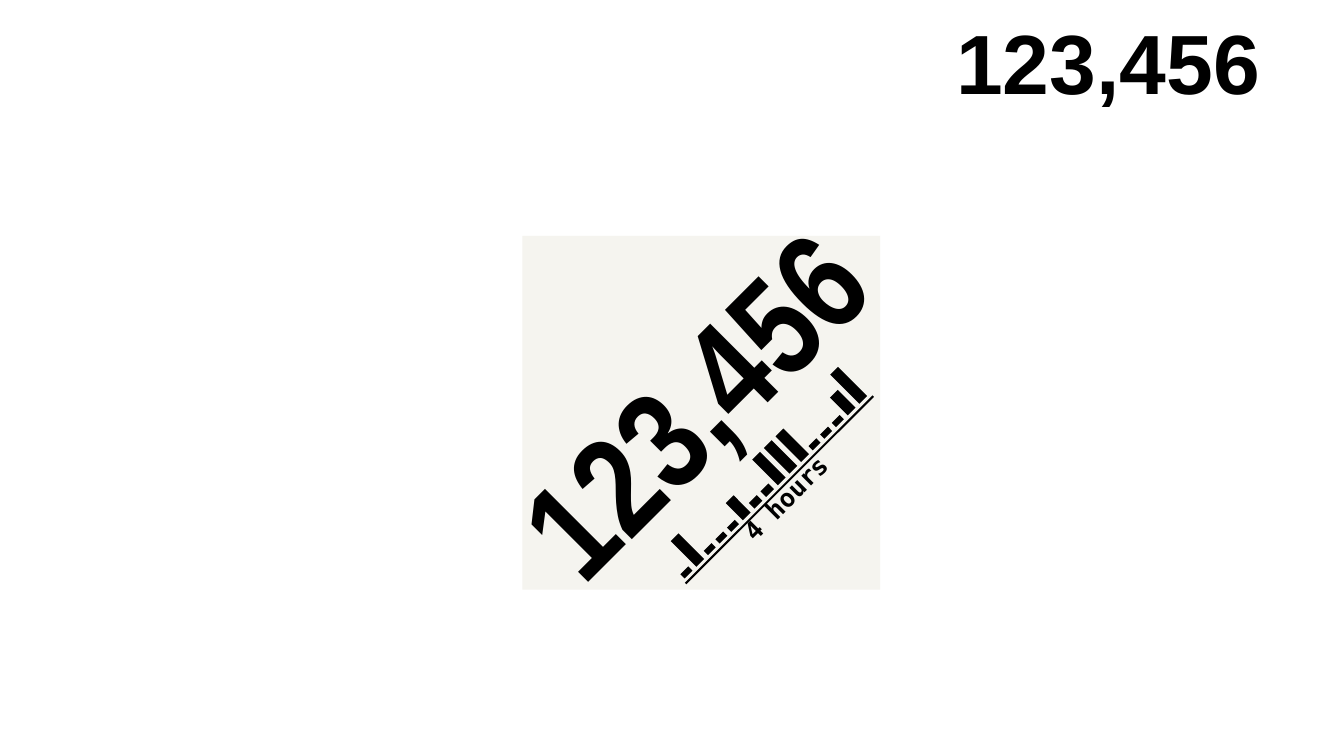
from math import cos, radians

from lxml import etree
from pptx import Presentation
from pptx.dml.color import RGBColor
from pptx.enum.shapes import MSO_CONNECTOR, MSO_SHAPE
from pptx.enum.text import MSO_AUTO_SIZE, PP_ALIGN
from pptx.oxml.ns import qn
from pptx.util import Inches, Pt

RECTANGLE = MSO_SHAPE.RECTANGLE
STRAIGHT = MSO_CONNECTOR.STRAIGHT
CENTER = PP_ALIGN.CENTER
GROW = MSO_AUTO_SIZE.SHAPE_TO_FIT_TEXT

BLACK = "000000"
PAPER = "F5F4EF"
TILT = 315


def add_block(left, top, width, height, color, rotation=0):
    shape = slide.shapes.add_shape(
        RECTANGLE, Inches(left), Inches(top), Inches(width), Inches(height))
    shape.shadow.inherit = False
    shape.fill.solid()
    shape.fill.fore_color.rgb = RGBColor.from_string(color)
    shape.line.fill.background()
    shape.rotation = rotation


presentation = Presentation()
presentation.slide_width = Inches(13.33)
presentation.slide_height = Inches(7.5)
slide = presentation.slides.add_slide(presentation.slide_layouts[6])

add_block(5.18, 2.34, 3.55, 3.51, PAPER)

# Baseline of the tilted bar chart
baseline = slide.shapes.add_connector(
    STRAIGHT, Inches(6.8), Inches(5.79), Inches(8.66), Inches(3.93))
baseline.line.color.rgb = RGBColor.from_string(BLACK)
baseline.line.width = Pt(1.5)
etree.SubElement(baseline._element.spPr, qn("a:effectLst"))

# Bars stand on a diagonal, at right angles to the baseline
bar_heights = [0.06, 0.36, 0.06, 0.06, 0.06, 0.24, 0.08, 0.08,
               0.36, 0.36, 0.36, 0.06, 0.06, 0.06, 0.25, 0.41]
bar_width = 0.11
bar_step = 0.1155
first_foot_x, first_foot_y = 6.83, 5.7
for index, height in enumerate(bar_heights):
    center_offset = height / 2 * cos(radians(45))
    center_x = first_foot_x + index * bar_step - center_offset
    center_y = first_foot_y - index * bar_step - center_offset
    add_block(center_x - bar_width / 2, center_y - height / 2,
              bar_width, height, BLACK, TILT)

# Text, left, top, width, height, rotation, size, font
labels = [
    ("123,456", 9.14, 0.05, 3.7, 1.11, 0, 60, "Arial"),
    ("123,456", 4.57, 3.1, 4.58, 1.78, TILT, 100, "Arial Narrow"),
    ("4 hours", 7.09, 4.74, 1.4, 0.4, TILT, 18, "DejaVu Sans Mono"),
]
for text, left, top, width, height, rotation, size, font_name in labels:
    label = slide.shapes.add_textbox(
        Inches(left), Inches(top), Inches(width), Inches(height))
    label.rotation = rotation
    text_frame = label.text_frame
    text_frame.text = text
    text_frame.word_wrap = False
    text_frame.auto_size = GROW
    paragraph = text_frame.paragraphs[0]
    paragraph.alignment = CENTER
    font = paragraph.runs[0].font
    font.name = font_name
    font.size = Pt(size)
    font.bold = True
    font.color.rgb = RGBColor.from_string(BLACK)

presentation.save("out.pptx")
